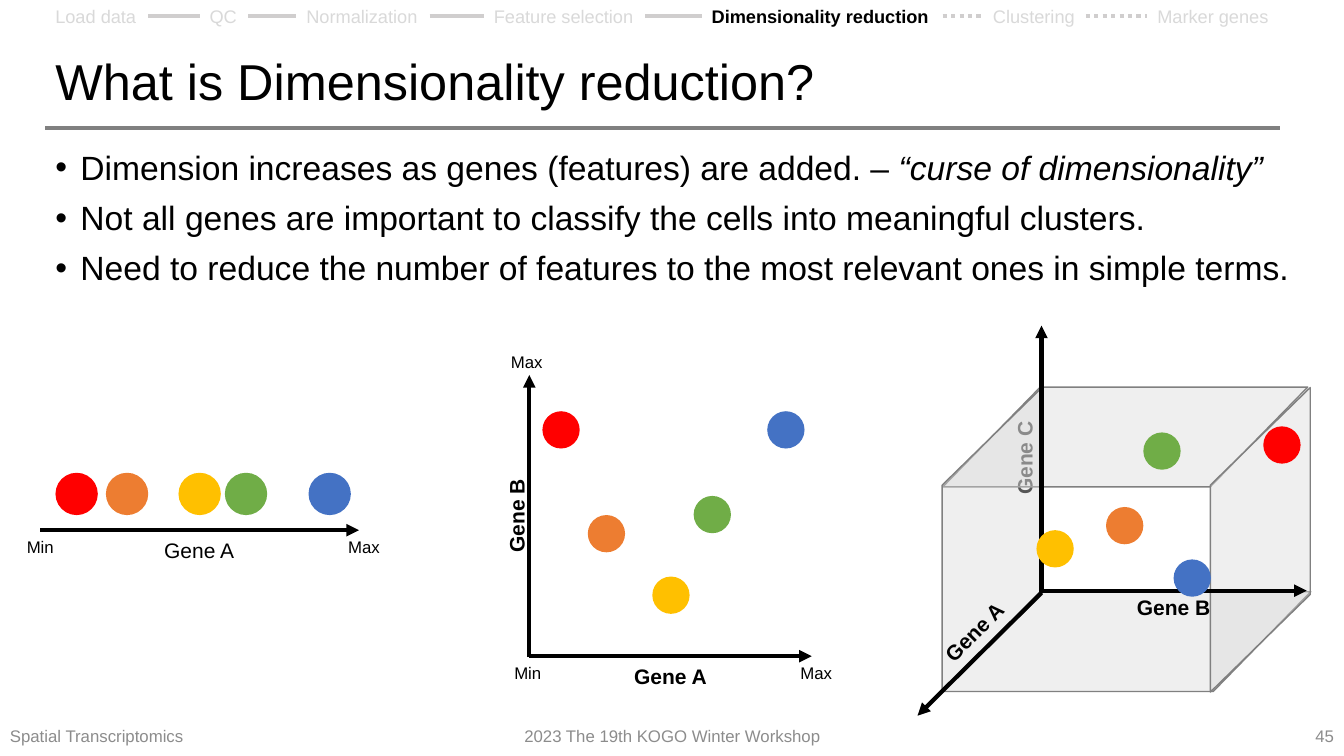
"""Build a slide that explains dimensionality reduction with one, two and three gene axes."""
from lxml import etree
from pptx import Presentation
from pptx import util as u
from pptx.dml.color import RGBColor
from pptx.enum import dml, shapes, text
from pptx.oxml.ns import qn

BLACK, GREY, PALE, STEP_LINE, FOOTER = "000000", "808080", "D9D9D9", "D0CECE", "8C8C8C"
CELL_COLOURS = ["FF0000", "ED7D31", "FFC000", "70AD47", "4472C4"]
LEFT, CENTER, RIGHT = text.PP_ALIGN.LEFT, text.PP_ALIGN.CENTER, text.PP_ALIGN.RIGHT
TOP, MIDDLE = text.MSO_ANCHOR.TOP, text.MSO_ANCHOR.MIDDLE

deck = Presentation()
deck.slide_width, deck.slide_height = u.Inches(13.33), u.Inches(7.5)
page = deck.slides.add_slide(deck.slide_layouts[6])


def add_text(place, paragraphs, size, colour=BLACK, bold=False, align=CENTER, anchor=TOP, wrap=True):
    box = page.shapes.add_textbox(*map(u.Inches, place))
    frame = box.text_frame
    frame.word_wrap, frame.vertical_anchor = wrap, anchor
    for index, spans in enumerate(paragraphs):
        para = frame.paragraphs[0] if index == 0 else frame.add_paragraph()
        para.alignment = align
        for words, italic in spans:
            span = para.add_run()
            span.text = words
            font_values = {"name": "Arial", "size": u.Pt(size), "bold": bold, "italic": italic}
            for name, value in font_values.items():
                setattr(span.font, name, value)
            span.font.color.rgb = RGBColor.from_string(colour)
    return box


def add_line(start, end, colour, arrow=False, dash=None):
    line = page.shapes.add_connector(shapes.MSO_CONNECTOR.STRAIGHT, *map(u.Inches, start + end))
    line.line.width = u.Pt(3)
    line.line.color.rgb = RGBColor.from_string(colour)
    if dash:
        line.line.dash_style = dash
    properties = line._element.spPr
    if arrow:
        etree.SubElement(properties.find(qn("a:ln")), qn("a:tailEnd"), type="triangle")
    etree.SubElement(properties, qn("a:effectLst"))
    return line


add_line((0.45, 1.27), (12.7, 1.27), GREY)
title = add_text((0.45, 0.41, 12.25, 0.86), [[("What is Dimensionality reduction?", False)]], 36,
                 align=LEFT, anchor=MIDDLE)
title.text_frame.paragraphs[0].line_spacing = 0.9

footers = [
    ("Spatial Transcriptomics", 0, 3, LEFT),
    ("2023 The 19th KOGO Winter Workshop", 4.42, 4.5, CENTER),
    ("45", 12.78, 0.55, RIGHT),
]
for words, left, width, align in footers:
    add_text((left, 7.1, width, 0.4), [[(words, False)]], 12, FOOTER, align=align, anchor=MIDDLE)

points = [
    [("Dimension increases as genes (features) are added. – ", False),
     ("“curse of dimensionality”", True)],
    [("Not all genes are important to classify the cells into meaningful clusters.", False)],
    [("Need to reduce the number of features to the most relevant ones in simple terms.", False)],
]
body = add_text((0.45, 1.45, 12.54, 2.07), points, 24, align=LEFT)
for index, para in enumerate(body.text_frame.paragraphs):
    para.line_spacing = 0.9
    para.space_before = u.Pt(10 if index else 0)
    settings = para._p.get_or_add_pPr()
    settings.set("marL", str(u.Inches(0.25)))
    settings.set("indent", str(-u.Inches(0.25)))
    etree.SubElement(settings, qn("a:buFont"), typeface="Arial")
    etree.SubElement(settings, qn("a:buChar"), char="•")

gene_c = add_text((9.02, 4.37, 2.28, 0.35), [[("Gene C", False)]], 15, bold=True)
gene_c.rotation = 270

cube_faces = [
    (9.35, 5.87, 3.65, False),
    (9.35, 3.84, 3.62, False),
    (8.33, 4.86, 3.02, True),
    (10.99, 4.86, 3.02, True),
]
for left, top, width, upright in cube_faces:
    face = page.shapes.add_shape(shapes.MSO_SHAPE.PARALLELOGRAM,
                                 *map(u.Inches, (left, top, width, 0.99)))
    face.adjustments[0] = 0.977
    face.shadow.inherit = False
    face.fill.solid()
    face.fill.fore_color.rgb = RGBColor.from_string(PALE)
    fill_colour = face._element.spPr.find(qn("a:solidFill")).find(qn("a:srgbClr"))
    etree.SubElement(fill_colour, qn("a:alpha"), val="40000")
    face.line.color.rgb = RGBColor.from_string(GREY)
    face.line.width = u.Pt(1)
    if upright:
        face.rotation = 90
        face._element.spPr.find(qn("a:xfrm")).set("flipH", "1")

axes = [
    ((0.4, 5.26), (3.56, 5.26)),
    ((5.25, 6.51), (8.05, 6.51)),
    ((5.25, 6.52), (5.25, 3.72)),
    ((10.33, 5.88), (10.33, 3.23)),
    ((10.31, 5.86), (12.96, 5.86)),
    ((10.33, 5.88), (9.1, 7.1)),
]
for start, end in axes:
    add_line(start, end, BLACK, arrow=True)

axis_labels = [
    ("Gene A", (0.69, 5.28, 2.57, 0.35), 15, False, 0),
    ("Min", (0.16, 5.28, 0.48, 0.3), 12, False, 0),
    ("Max", (3.33, 5.28, 0.56, 0.3), 12, False, 0),
    ("Gene A", (5.51, 6.53, 2.28, 0.35), 15, True, 0),
    ("Min", (4.93, 6.53, 0.61, 0.3), 12, False, 0),
    ("Max", (7.79, 6.53, 0.61, 0.3), 12, False, 0),
    ("Max", (4.96, 3.44, 0.53, 0.3), 12, False, 0),
    ("Gene B", (3.98, 4.94, 2.28, 0.35), 15, True, 270),
    ("Gene A", (9.15, 6.09, 1.02, 0.35), 15, True, 315),
    ("Gene B", (10.5, 5.85, 2.28, 0.35), 15, True, 0),
]
for words, place, size, bold, angle in axis_labels:
    add_text(place, [[(words, False)]], size, bold=bold).rotation = angle

cell_plots = [
    (0.42, [(0.55, 4.69), (1.05, 4.69), (1.77, 4.69), (2.23, 4.69), (3.06, 4.69)]),
    (0.37, [(5.38, 4.08), (5.83, 5.11), (6.47, 5.72), (6.88, 4.92), (7.61, 4.08)]),
    (0.37, [(12.53, 4.23), (10.97, 5.03), (10.28, 5.26), (11.34, 4.29), (11.64, 5.55)]),
]
for diameter, corners in cell_plots:
    for (left, top), colour in zip(corners, CELL_COLOURS):
        cell = page.shapes.add_shape(shapes.MSO_SHAPE.OVAL,
                                     *map(u.Inches, (left, top, diameter, diameter)))
        cell.shadow.inherit = False
        cell.fill.solid()
        cell.fill.fore_color.rgb = RGBColor.from_string(colour)
        cell.line.fill.background()

steps = [
    ("Load data", 0.45, 1.02),
    ("QC", 1.98, 0.48),
    ("Normalization", 2.94, 1.32),
    ("Feature selection", 4.8, 1.6),
    ("Dimensionality reduction", 6.96, 2.39),
    ("Clustering", 9.75, 1.02),
    ("Marker genes", 11.38, 1.32),
]
current = 4
step_boxes = []
for index, (words, left, width) in enumerate(steps):
    active = index == current
    box = add_text((left, 0, width, 0.32), [[(words, False)]], 13, BLACK if active else PALE,
                   bold=active, align=LEFT, wrap=False)
    box.text_frame.auto_size = text.MSO_AUTO_SIZE.SHAPE_TO_FIT_TEXT
    step_boxes.append(box)

for index, (before, after) in enumerate(zip(step_boxes, step_boxes[1:])):
    dash = dml.MSO_LINE.ROUND_DOT if index >= current else None
    link = add_line((0, 0.16), (1, 0.16), STEP_LINE, dash=dash)
    link.begin_connect(before, 3)
    link.end_connect(after, 1)

deck.save("out.pptx")
